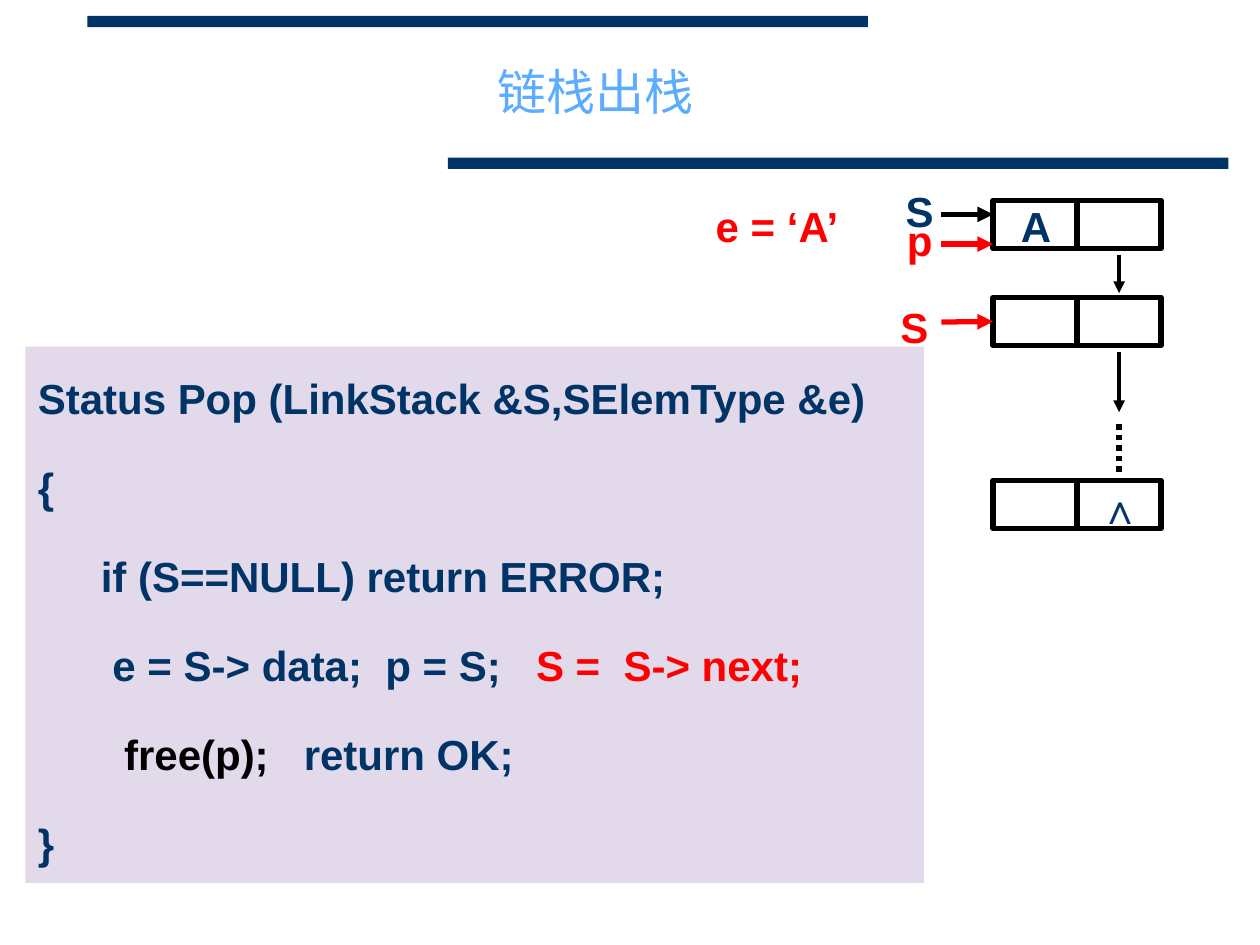
"""Build the slide on popping from a linked stack."""
from lxml.etree import SubElement
from pptx import Presentation
from pptx.dml.color import RGBColor
from pptx.enum.dml import MSO_LINE
from pptx.enum.shapes import MSO_CONNECTOR, MSO_SHAPE
from pptx.enum.text import MSO_ANCHOR, PP_ALIGN
from pptx.oxml.ns import qn
from pptx.util import Pt

NAVY = RGBColor(0x00, 0x33, 0x66)
SKY = RGBColor(0x5C, 0xAD, 0xFF)
RED = RGBColor(0xFF, 0x00, 0x00)
BLACK = RGBColor(0x00, 0x00, 0x00)
WHITE = RGBColor(0xFF, 0xFF, 0xFF)
LILAC = RGBColor(0xE2, 0xD9, 0xEB)

deck = Presentation()
deck.slide_width, deck.slide_height = Pt(720), Pt(540)
slide = deck.slides.add_slide(deck.slide_layouts[6])
shapes = slide.shapes


def write(para, text, size=24, color=NAVY, bold=True, align=PP_ALIGN.LEFT):
    para.alignment = align
    run = para.add_run()
    run.text = text
    font = run.font
    font.name, font.size, font.bold = "Arial", Pt(size), bold
    font.color.rgb = color


def draw(start, end, color=BLACK, width=3, arrow=False):
    line = shapes.add_connector(MSO_CONNECTOR.STRAIGHT, *map(Pt, start + end))
    line.line.color.rgb = color
    line.line.width = Pt(width)
    if arrow:
        SubElement(line.line._get_or_add_ln(), qn("a:tailEnd"), type="triangle")
    SubElement(line._element.spPr, qn("a:effectLst"))
    return line


for left, top in [(50, 9), (256, 90)]:
    bar = shapes.add_shape(MSO_SHAPE.RECTANGLE, Pt(left), Pt(top), Pt(446), Pt(6.5))
    bar.shadow.inherit = False
    bar.fill.solid()
    bar.fill.fore_color.rgb = NAVY
    bar.line.fill.background()

title = shapes.add_textbox(Pt(206.5), Pt(31.5), Pt(268), Pt(40.5)).text_frame
title.word_wrap = True
title.vertical_anchor = MSO_ANCHOR.MIDDLE
write(title.paragraphs[0], "链栈出栈", size=28, color=SKY, bold=False, align=PP_ALIGN.CENTER)

nodes = []
for top in (114.5, 170, 274.5):
    node = shapes.add_shape(MSO_SHAPE.RECTANGLE, Pt(567.5), Pt(top), Pt(96), Pt(27.5))
    node.shadow.inherit = False
    node.fill.solid()
    node.fill.fore_color.rgb = WHITE
    node.line.color.rgb = BLACK
    node.line.width = Pt(3)
    split = draw((615.5, top), (615.5, top + 27.5))
    split.begin_connect(node, 0)
    split.end_connect(node, 2)
    nodes.append(node)

for top, end in [(145.5, 167.5), (201, 235.5)]:
    draw((639.5, top), (639.5, end), width=2.25, arrow=True)
dots = draw((639.5, 242.5), (639.5, 270))
dots.line.dash_style = MSO_LINE.ROUND_DOT

for y, color in [(122.5, BLACK), (139.5, RED)]:
    draw((538, y), (567.5, y), color=color, arrow=True)
link = draw((538, 184), (567.5, 184), color=RED, arrow=True)
link.end_connect(nodes[1], 1)

labels = [
    ("∧", 621.5, 270, 36, NAVY),
    ("S", 507.5, 100, 36, NAVY),
    ("A", 574, 108.5, 36, NAVY),
    ("e = ‘A’", 381, 108.5, 126, RED),
    ("p", 507.5, 116.5, 36, RED),
    ("S", 504.5, 166.5, 36, RED),
]
for text, left, top, width, color in labels:
    frame = shapes.add_textbox(Pt(left), Pt(top), Pt(width), Pt(36)).text_frame
    frame.word_wrap = True
    frame.margin_top = Pt(6)
    write(frame.paragraphs[0], text, color=color, align=PP_ALIGN.CENTER)

panel = shapes.add_shape(MSO_SHAPE.RECTANGLE, Pt(14.5), Pt(198), Pt(513.5), Pt(306.5))
panel.shadow.inherit = False
panel.fill.solid()
panel.fill.fore_color.rgb = LILAC
panel.line.fill.background()
frame = panel.text_frame
frame.word_wrap = True
frame.vertical_anchor = MSO_ANCHOR.TOP
frame.margin_top = Pt(6)

code = [
    (0, [("Status Pop (LinkStack &S,SElemType &e)", NAVY)]),
    (0, [("{", NAVY)]),
    (1, [("if (S==NULL) return ERROR;", NAVY)]),
    (1, [(" e = S-> data;  p = S;   ", NAVY), ("S =  S-> next;", RED)]),
    (1, [("  free(p); ", BLACK), ("  return OK;", NAVY)]),
    (0, [("}", NAVY)]),
]
for row, (level, parts) in enumerate(code):
    para = frame.paragraphs[0] if row == 0 else frame.add_paragraph()
    para.level = level
    para.line_spacing = 1.3
    para.space_before = Pt(13.5 if row else 0)
    props = para._p.get_or_add_pPr()
    props.set("marL", str(Pt(36 * level)))
    props.set("indent", "0")
    for text, color in parts:
        write(para, text, color=color)

deck.save("out.pptx")
